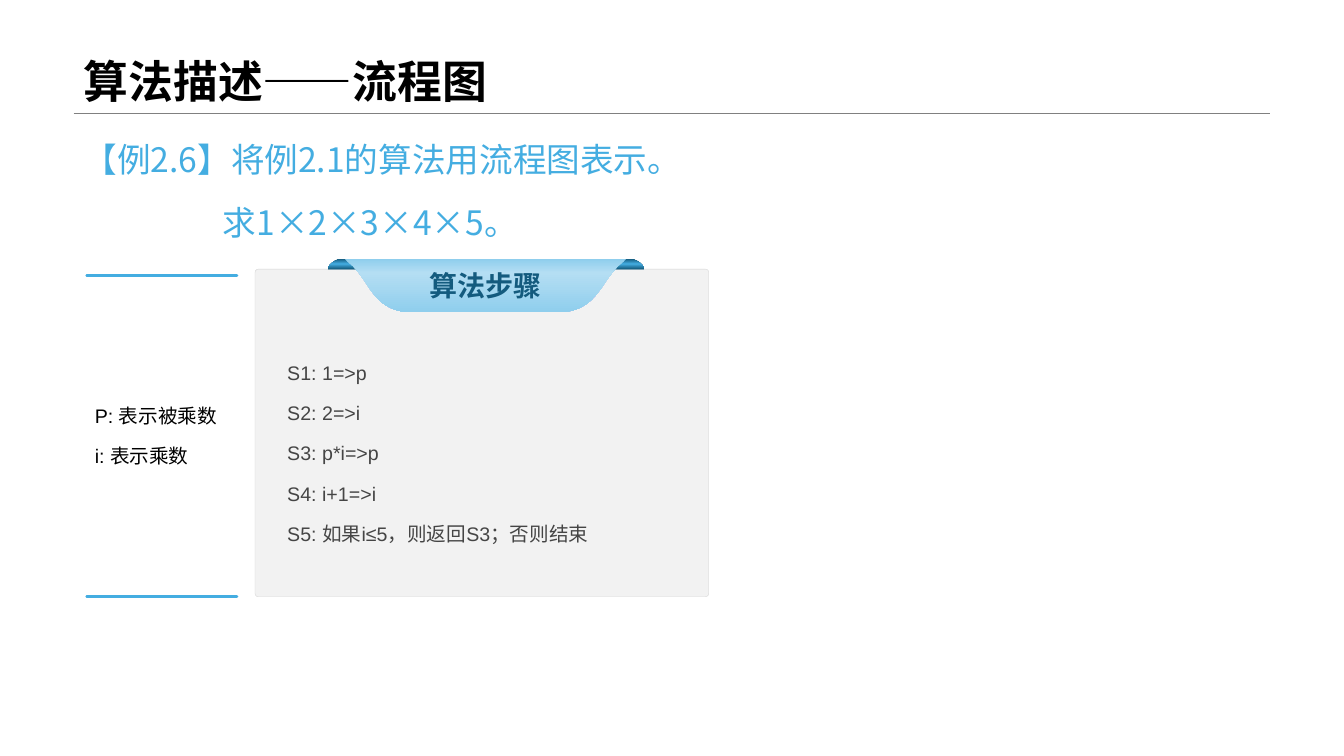
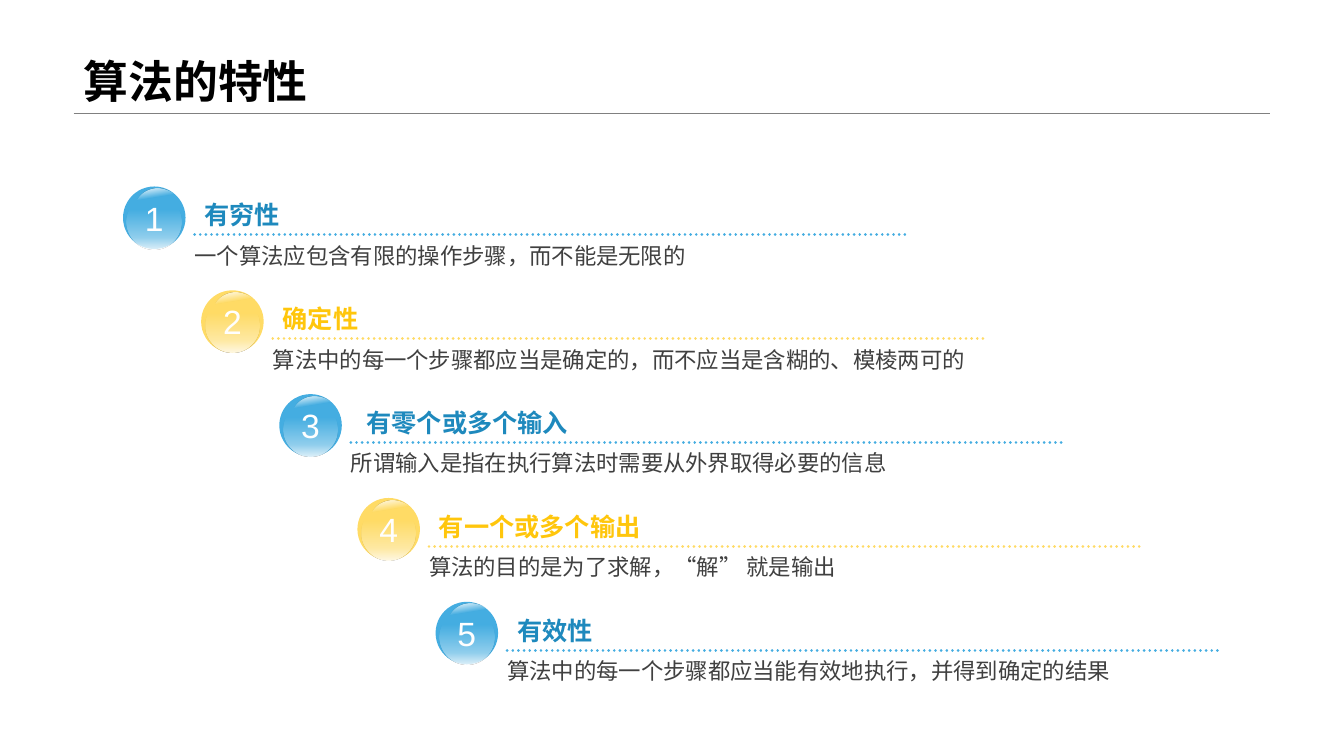
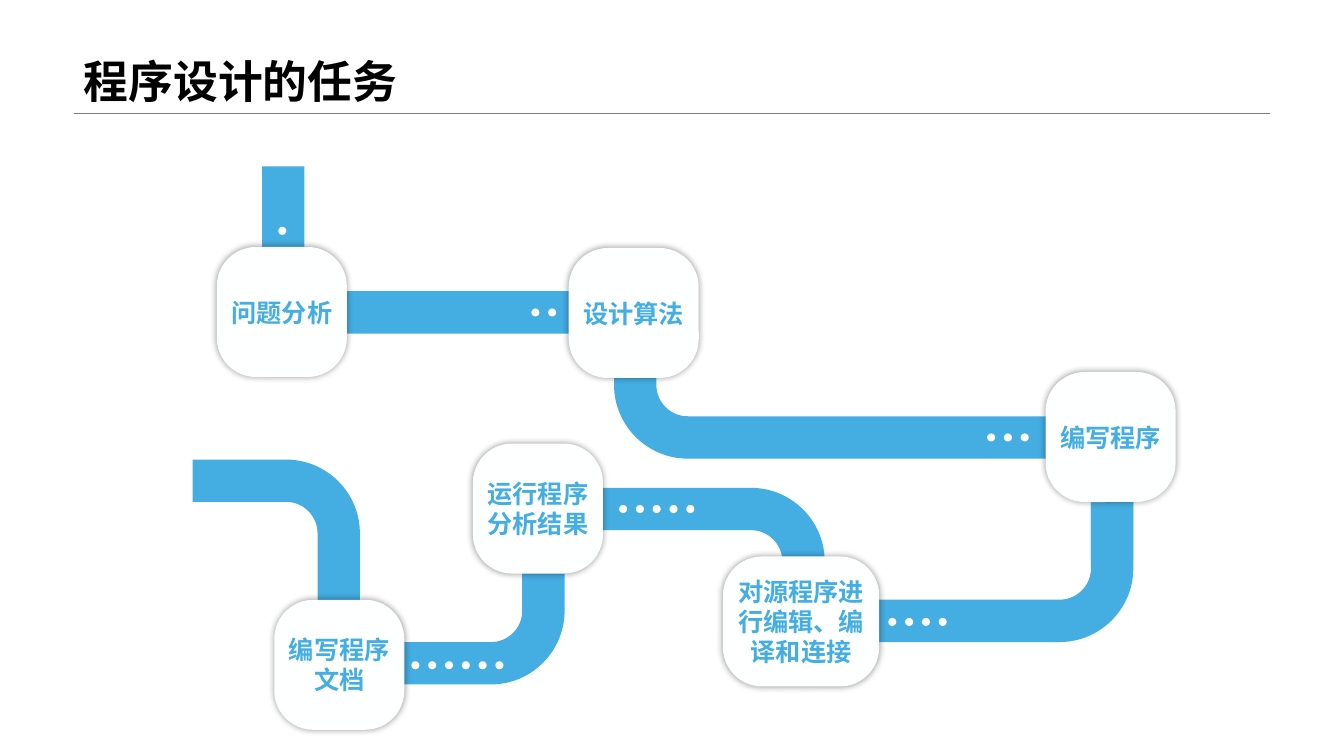
import math
from dataclasses import dataclass
from typing import NamedTuple

import pptx
import pptx.util
import pptx.dml.color
import pptx.enum.dml
import pptx.enum.lang
import pptx.enum.shapes
import pptx.enum.text
import pptx.oxml.ns
from lxml import etree

Inches, Pt = pptx.util.Inches, pptx.util.Pt
qn = pptx.oxml.ns.qn
RGB = pptx.dml.color.RGBColor.from_string
SHAPE = pptx.enum.shapes.MSO_SHAPE
ALIGN = pptx.enum.text.PP_ALIGN
ANCHOR = pptx.enum.text.MSO_ANCHOR
CHINESE = pptx.enum.lang.MSO_LANGUAGE_ID.SIMPLIFIED_CHINESE
Point = tuple[float, float]
Insets = tuple[float, float, float, float]


@dataclass(frozen=True)
class Theme:
    cjk: str = "Noto Sans CJK SC"
    latin: str = "Arial"
    black: str = "000000"
    white: str = "FFFFFF"
    tile: str = "FEFFFF"
    rule: str = "808080"
    blue: str = "44ADE1"
    blue_text: str = "1E89BD"
    navy: str = "145B7E"
    sky: str = "8FCEED"
    sky_light: str = "B4DEF3"
    yellow: str = "FFDB65"
    yellow_text: str = "FFC60C"
    card: str = "F2F2F2"
    card_edge: str = "D5D5D5"
    card_text: str = "454545"
    detail_text: str = "404040"
    title: int = 32
    lead: int = 24
    banner: int = 20
    label: int = 18
    detail: int = 16
    note: int = 14


T = Theme()


class Curve(NamedTuple):
    control_1: Point
    control_2: Point
    end: Point


class Stop(NamedTuple):
    percent: int
    color: str
    alpha: int = 100


class Trait(NamedTuple):
    name: str
    detail: str


class Pipe(NamedTuple):
    start: Point
    corner: Point
    end: Point


class Task(NamedTuple):
    label: str
    left: float
    top: float
    width: float
    dots: Point


CURL = [Stop(0, T.navy), Stop(49, T.blue), Stop(100, T.navy)]
RIBBON = [Stop(0, T.sky), Stop(26, T.sky_light), Stop(100, T.sky)]
SHINE = [Stop(0, T.white, 0), Stop(16, T.white, 88), Stop(30, T.white, 0)]
GLOW = [Stop(28, T.white, 0), Stop(78, T.white, 41), Stop(98, T.white, 79)]

STEPS = "S1: 1=>p\nS2: 2=>i\nS3: p*i=>p\nS4: i+1=>i\nS5: 如果i≤5，则返回S3；否则结束"

TRAITS = [
    Trait("有穷性", "一个算法应包含有限的操作步骤，而不能是无限的"),
    Trait("确定性", "算法中的每一个步骤都应当是确定的，而不应当是含糊的、模棱两可的"),
    Trait(" 有零个或多个输入", "所谓输入是指在执行算法时需要从外界取得必要的信息"),
    Trait("有一个或多个输出", "算法的目的是为了求解，“解” 就是输出"),
    Trait("有效性", "算法中的每一个步骤都应当能有效地执行，并得到确定的结果"),
]

PIPES = [
    Pipe((3.37, 6.58), (5.39, 6.58), (5.39, 5.14)),
    Pipe((5.95, 5.05), (7.97, 5.05), (7.97, 6.5)),
    Pipe((7.75, 6.16), (11.03, 6.16), (11.03, 4.71)),
    Pipe((2.81, 1.65), (2.81, 3.1), (6.09, 3.1)),
    Pipe((6.3, 2.89), (6.3, 4.34), (9.58, 4.34)),
    Pipe((9.58, 4.34), (11.03, 4.34), (11.03, 5.56)),
    Pipe((1.91, 4.77), (3.36, 4.77), (3.36, 6.79)),
]

TASKS = [
    Task("问题分析", 2.15, 2.45, 1.29, (2.76, 2.25)),
    Task("设计算法", 5.64, 2.46, 1.29, (5.27, 3.06)),
    Task("编写程序", 10.37, 3.69, 1.29, (9.79, 4.3)),
    Task("对源程序进行编辑、编译和连接", 7.17, 5.52, 1.55, (8.81, 6.13)),
    Task("运行程序\n分析结果", 4.69, 4.4, 1.29, (6.14, 5.01)),
    Task("编写程序文档", 2.72, 5.95, 1.29, (4.08, 6.56)),
]


def write(sp, text: str, size: int, color: str, font: str = T.latin,
          bold: bool = False, align=ALIGN.LEFT, anchor=ANCHOR.MIDDLE,
          insets: Insets = (0.1, 0.05, 0.1, 0.05), spacing: float = 1.0,
          gap: float = 0):
    """Fill a shape with text, one paragraph a line, `gap` points apart."""
    tf = sp.text_frame
    tf.text = text
    tf.word_wrap = True
    tf.auto_size = pptx.enum.text.MSO_AUTO_SIZE.NONE
    tf.vertical_anchor = anchor
    (tf.margin_left, tf.margin_top,
     tf.margin_right, tf.margin_bottom) = map(Inches, insets)
    for i, p in enumerate(tf.paragraphs):
        p.alignment = align
        p.line_spacing = spacing
        p.space_before = Pt(gap if i else 0)
        for r in p.runs:
            r.font.size, r.font.bold, r.font.name = Pt(size), bold, font
            r.font.language_id = CHINESE
            r.font.color.rgb = RGB(color)
            ea = etree.SubElement(r.font._element, qn("a:ea"))
            ea.set("typeface", T.cjk)
    return tf


def paint(sp, fill: str | list[Stop], angle: int = 90) -> None:
    """Give a shape a plain or gradient fill, with no line or shadow."""
    sp.shadow.inherit = False
    sp.line.fill.background()
    if isinstance(fill, str):
        sp.fill.solid()
        sp.fill.fore_color.rgb = RGB(fill)
        return
    sp.fill.gradient()
    sp.fill.gradient_angle = 360 - angle
    stops = sp._element.spPr.find(qn("a:gradFill")).find(qn("a:gsLst"))
    for old in list(stops):
        stops.remove(old)
    for stop in fill:
        gs = etree.SubElement(stops, qn("a:gs"), pos=str(stop.percent * 1000))
        clr = etree.SubElement(gs, qn("a:srgbClr"), val=stop.color)
        etree.SubElement(clr, qn("a:alpha"), val=str(stop.alpha * 1000))


def add_preset(s, kind, left: float, top: float, width: float, height: float,
               fill: str | list[Stop], angle: int = 90):
    sp = s.shapes.add_shape(kind, Inches(left), Inches(top),
                            Inches(width), Inches(height))
    paint(sp, fill, angle)
    return sp


def add_outline(s, start: Point, parts: list[Point | Curve],
                fill: str | list[Stop]):
    """Draw a closed outline whose parts are corners and Bezier curves."""
    points = [start]
    for part in parts:
        points.extend(part if isinstance(part, Curve) else [part])
    corners = [(Inches(x), Inches(y)) for x, y in points]
    fb = s.shapes.build_freeform(*corners[0])
    fb.add_line_segments(corners[1:], close=True)
    sp = fb.convert_to_shape()
    segments = iter(sp._element.findall(".//" + qn("a:lnTo")))
    for part in parts:
        segment = next(segments)
        if isinstance(part, Curve):
            segment.tag = qn("a:cubicBezTo")
            for _ in range(2):
                spare = next(segments)
                segment.append(spare[0])
                spare.getparent().remove(spare)
    paint(sp, fill)
    return sp


def add_text(s, left: float, top: float, width: float, height: float):
    return s.shapes.add_textbox(Inches(left), Inches(top),
                                Inches(width), Inches(height))


def add_line(s, left: float, right: float, y: float, color: str,
             width: float, dotted: bool = False) -> None:
    cn = s.shapes.add_connector(pptx.enum.shapes.MSO_CONNECTOR.STRAIGHT,
                                Inches(left), Inches(y), Inches(right), Inches(y))
    cn.line.color.rgb = RGB(color)
    cn.line.width = Pt(width)
    if dotted:
        cn.line.dash_style = pptx.enum.dml.MSO_LINE.ROUND_DOT
        cn._element.spPr.find(qn("a:ln")).set("cap", "rnd")
    etree.SubElement(cn._element.spPr, qn("a:effectLst"))


def place(sp, left: float, top: float, width: float, height: float) -> None:
    sp.left, sp.top = Inches(left), Inches(top)
    sp.width, sp.height = Inches(width), Inches(height)


def new_slide(prs, title: str, layout: int = 5):
    """Add a slide with the shared title and the rule under it."""
    s = prs.slides.add_slide(prs.slide_layouts[layout])
    place(s.shapes.title, 0.73, 0, 11.87, 1.12)
    write(s.shapes.title, title, T.title, T.black, T.cjk, bold=True,
          anchor=ANCHOR.BOTTOM, spacing=0.9)
    add_line(s, 0.73, 12.6, 1.12, T.rule, 0.25)
    return s


def add_curl(s, x: float) -> None:
    right, peak_left, peak_right = x + 0.33, x + 0.11, x + 0.22
    add_outline(s, (peak_left, 2.57), [
        (peak_right, 2.57),
        Curve((x + 0.27, 2.59), (x + 0.31, 2.62), (right, 2.66)),
        (right, 2.67), (x, 2.67), (x, 2.66),
        Curve((x + 0.02, 2.62), (x + 0.06, 2.59), (peak_left, 2.57)),
    ], CURL)


def add_pipe(s, pipe: Pipe, half: float = 0.21, radius: float = 0.52) -> None:
    """Draw a band along start, corner and end, with a round elbow."""
    def unit(a: Point, b: Point) -> Point:
        d = math.dist(a, b)
        return (b[0] - a[0]) / d, (b[1] - a[1]) / d

    def shift(a: Point, d: Point, by: float) -> Point:
        return a[0] + d[0] * by, a[1] + d[1] * by

    u, v = unit(pipe.start, pipe.corner), unit(pipe.corner, pipe.end)

    def side(offset: float) -> list[Point]:
        """Give the start, the elbow's four Bezier points and the end."""
        pull = 0.55 * (radius + offset)
        enter = shift(shift(pipe.corner, u, -radius), v, -offset)
        leave = shift(shift(pipe.corner, v, radius), u, offset)
        return [shift(pipe.start, v, -offset), enter, shift(enter, u, pull),
                shift(leave, v, -pull), leave, shift(pipe.end, u, offset)]

    start, enter, *bend, end = side(half)
    back, back_enter, *back_bend, finish = side(-half)[::-1]
    add_outline(s, start, [enter, Curve(*bend), end,
                           back, back_enter, Curve(*back_bend), finish], T.blue)


def add_note_frame(s, left: float, top: float, right: float, bottom: float):
    """Draw one open frame made of a top and a bottom line."""
    x0, x1 = Inches(left), Inches(right)
    y0, y1 = Inches(top), Inches(bottom)
    fb = s.shapes.build_freeform(x0, y1)
    fb.add_line_segments([(x1, y1)], close=True)
    fb.move_to(x0, y0)
    fb.add_line_segments([(x1, y0)], close=True)
    sp = fb.convert_to_shape()
    sp.shadow.inherit = False
    sp.fill.background()
    sp.line.color.rgb = RGB(T.blue)
    sp.line.width = Pt(2)
    return sp


def build_flowchart(prs) -> None:
    s = new_slide(prs, "算法描述——流程图", layout=1)
    body = s.placeholders[1]
    place(body, 0.73, 1.25, 9.09, 1.2)
    tf = write(body, "【例2.6】将例2.1的算法用流程图表示。\n求1×2×3×4×5。",
               T.lead, T.blue, T.cjk, anchor=ANCHOR.TOP, spacing=1.2, gap=10)
    for p, indent in zip(tf.paragraphs, (0, 1.38)):
        pPr = p._p.get_or_add_pPr()
        pPr.set("marL", str(Inches(indent)))
        pPr.set("indent", "0")
        etree.SubElement(pPr, qn("a:buNone"))

    card = add_preset(s, SHAPE.ROUNDED_RECTANGLE, 2.53, 2.67, 4.5, 3.25, T.card)
    card.adjustments[0] = 0.01
    card.line.color.rgb = RGB(T.card_edge)
    card.line.width = Pt(0.25)
    write(card, STEPS, T.note, T.card_text, align=ALIGN.JUSTIFY,
          insets=(0.31, 0.79, 0.31, 0.39), gap=12)

    for x in (3.25, 6.06):
        add_curl(s, x)
    ribbon = add_outline(s, (3.42, 2.57), [
        (6.21, 2.57), (6.13, 2.64),
        Curve((5.94, 2.83), (5.91, 3.1), (5.51, 3.1)),
        (4.11, 3.1),
        Curve((3.71, 3.1), (3.68, 2.82), (3.5, 2.64)),
    ], RIBBON)
    write(ribbon, "算法步骤", T.banner, T.navy, T.cjk, bold=True, align=ALIGN.CENTER)

    write(add_note_frame(s, 0.86, 2.73, 2.35, 5.92), "P: 表示被乘数\ni: 表示乘数",
          T.note, T.black, align=ALIGN.JUSTIFY, insets=(0.08,) * 4, gap=12)


def add_trait(s, number: int, trait: Trait, x: float, y: float) -> None:
    odd = number % 2
    fill = T.blue if odd else T.yellow
    ball = add_preset(s, SHAPE.OVAL, x, y, 0.62, 0.62, fill)
    write(ball, str(number), T.lead, T.white, align=ALIGN.CENTER,
          insets=(0, 0.05, 0, 0.05))
    shine = add_preset(s, SHAPE.OVAL, x + 0.11, y + 0.03, 0.51, 0.47, SHINE, 45)
    shine.rotation = 35.7
    add_preset(s, SHAPE.OVAL, x + 0.04, y + 0.08, 0.54, 0.54, GLOW)

    left = x + 0.71
    add_line(s, left, left + 7.09, y + 0.48, fill, 2, dotted=True)
    write(add_text(s, left, y + 0.04, 5.12, 0.44), trait.name, T.label,
          T.blue_text if odd else T.yellow_text, bold=True, anchor=ANCHOR.BOTTOM)
    write(add_text(s, left, y + 0.47, 7.09, 0.41), trait.detail, T.detail,
          T.detail_text, anchor=ANCHOR.TOP, insets=(0,) * 4, spacing=1.3)


def build_traits(prs) -> None:
    s = new_slide(prs, "算法的特性")
    for i, trait in enumerate(TRAITS):
        add_trait(s, i + 1, trait, 1.22 + i * 3.1 / 4, 1.85 + i * 1.03)


def add_task(s, number: int, task: Task) -> None:
    """Draw a task tile and, beside it, as many dots as its number."""
    tile = add_preset(s, SHAPE.ROUNDED_RECTANGLE, task.left, task.top,
                      task.width, 1.29, T.tile)
    tile.adjustments[0] = 0.3
    effects = tile._element.spPr.find(qn("a:effectLst"))
    shadow = etree.SubElement(effects, qn("a:outerShdw"), blurRad=str(Pt(5)),
                              dist="0", dir="0", algn="ctr", rotWithShape="0")
    clr = etree.SubElement(shadow, qn("a:srgbClr"), val=T.black)
    etree.SubElement(clr, qn("a:alpha"), val="40000")
    write(tile, task.label, T.label, T.blue, bold=True, align=ALIGN.CENTER,
          insets=(0,) * 4)
    x, y = task.dots
    for i in range(number):
        add_preset(s, SHAPE.OVAL, x + i / 6, y, 0.08, 0.08, T.tile)


def build_tasks(prs) -> None:
    s = new_slide(prs, "程序设计的任务")
    for pipe in PIPES:
        add_pipe(s, pipe)
    for number, task in enumerate(TASKS, start=1):
        add_task(s, number, task)


def main() -> None:
    prs = pptx.Presentation()
    prs.slide_width, prs.slide_height = Inches(13.33), Inches(7.5)
    build_flowchart(prs)
    build_traits(prs)
    build_tasks(prs)
    prs.save("out.pptx")


if __name__ == "__main__":
    main()
